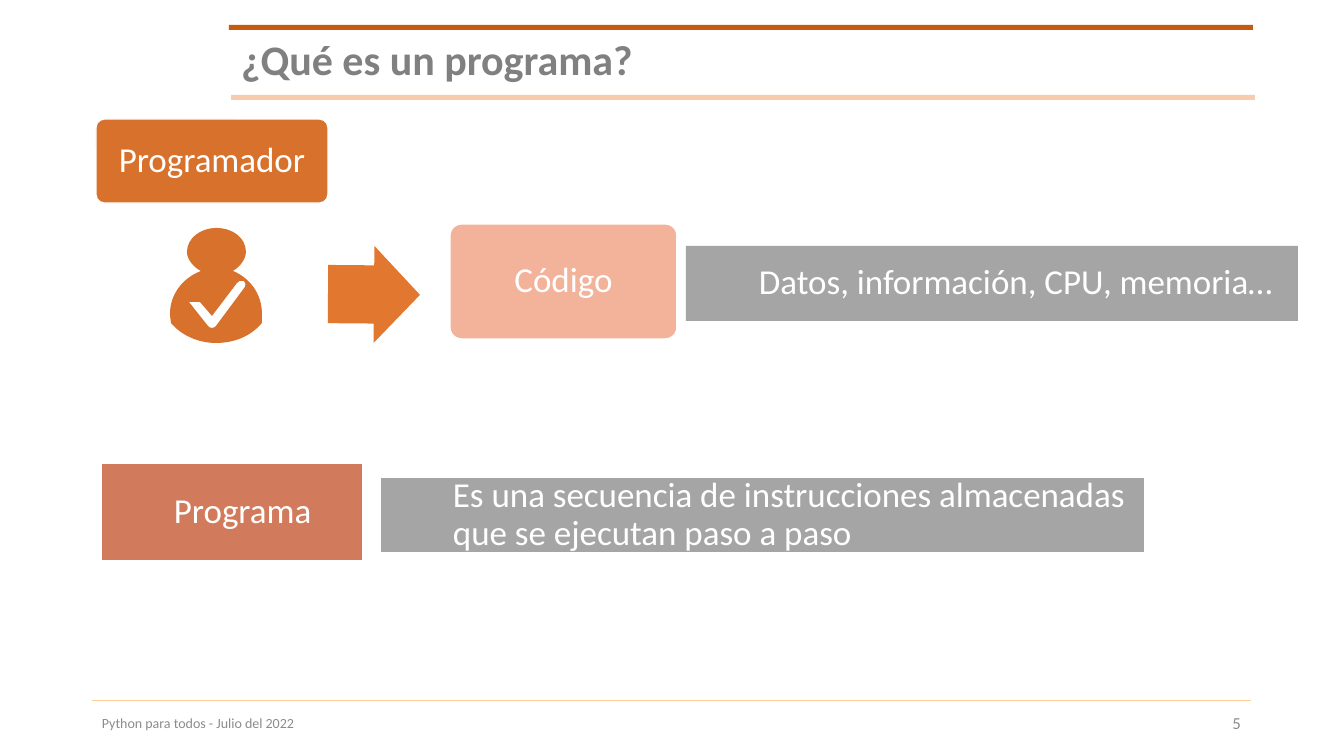
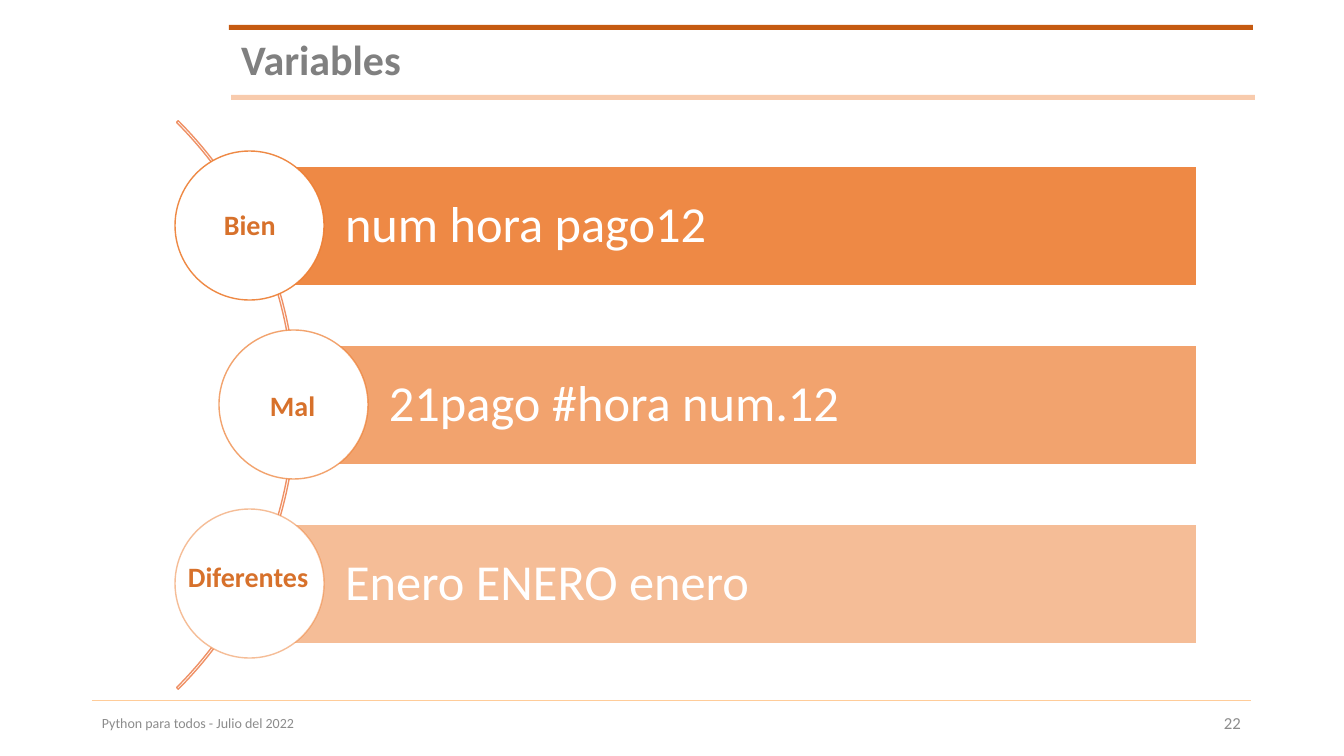
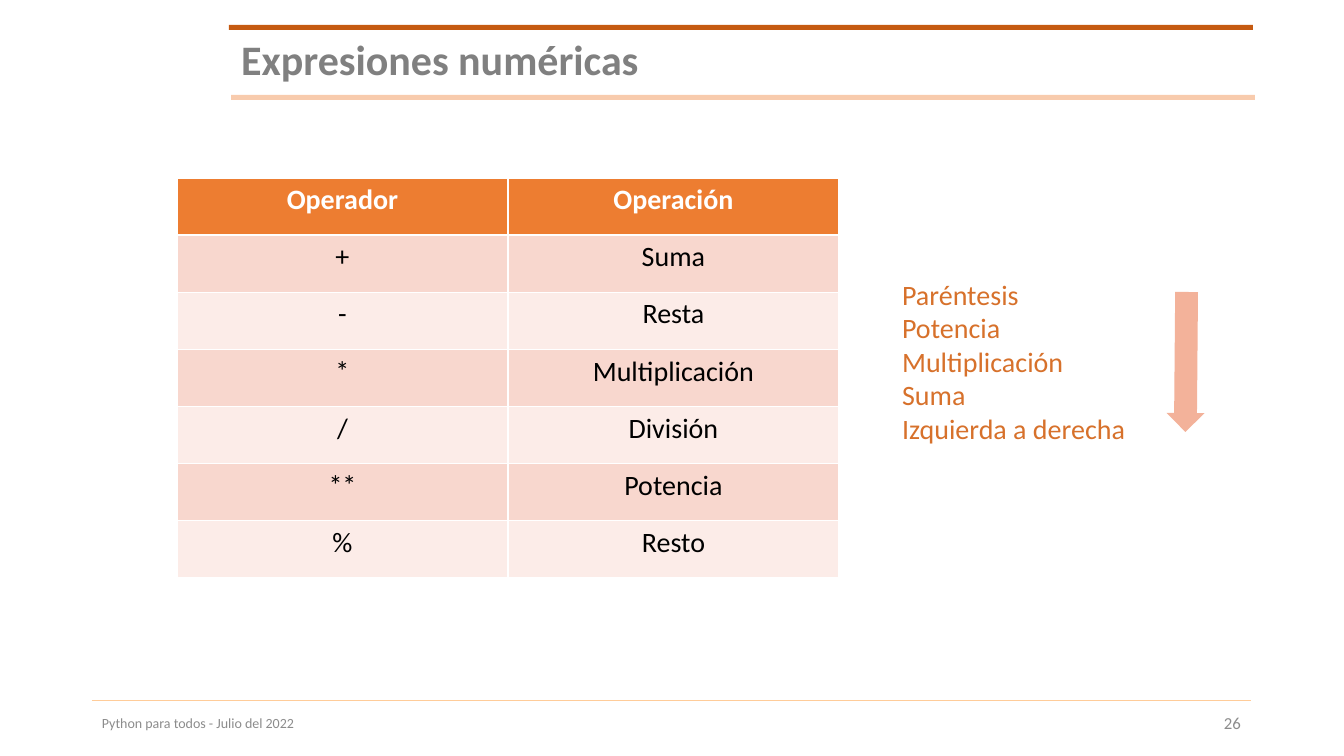
from dataclasses import dataclass
from typing import Optional

from lxml.etree import SubElement
from pptx import Presentation
from pptx.dml.color import RGBColor
from pptx.enum.shapes import MSO_CONNECTOR, MSO_SHAPE
from pptx.enum.text import MSO_ANCHOR, MSO_AUTO_SIZE, PP_ALIGN
from pptx.oxml.ns import qn
from pptx.shapes.autoshape import Shape
from pptx.slide import Slide
from pptx.text.text import TextFrame
from pptx.util import Emu, Pt

SCALE = 914400 / 100.8  # EMU per pixel
FONT = "Calibri"
COLORS = {
    "white": "FFFFFF", "black": "000000", "title": "808080", "footer": "8C8C8C",
    "footer_line": "FFCC99", "top_band": "C55A11", "low_band": "F8CBAD",
    "programmer": "D7712B", "arrow": "E2772F", "code": "F3B39B",
    "program": "D17B5C", "gray": "A5A5A5", "orange": "ED7D31", "arc": "EF9166",
    "odd_row": "F8D7CE", "even_row": "FCECE8", "order_arrow": "F3B29A",
}


@dataclass(frozen=True)
class Box:
    left: int
    top: int
    width: int
    height: int

    def emu(self) -> tuple[Emu, Emu, Emu, Emu]:
        return px(self.left), px(self.top), px(self.width), px(self.height)


@dataclass(frozen=True)
class TextStyle:
    size: int
    color: str
    bold: bool = False
    align: PP_ALIGN = PP_ALIGN.LEFT
    line_spacing: float = 1.0


@dataclass(frozen=True)
class Card:
    text: str
    box: Box
    fill: str
    line: Optional[str] = "white"
    rounded: bool = False


@dataclass(frozen=True)
class NamingRule:
    label: str
    label_box: Box
    names: str
    left: int
    opacity: int


TITLE = TextStyle(30, "title", bold=True, line_spacing=0.9)
FOOTER = TextStyle(10, "footer")
PAGE_NUMBER = TextStyle(12, "footer", align=PP_ALIGN.RIGHT)
CARD = TextStyle(25, "white", line_spacing=0.9)
CARD_CENTERED = TextStyle(25, "white", align=PP_ALIGN.CENTER, line_spacing=0.9)
NAMES = TextStyle(36, "white", line_spacing=0.9)
RULE_LABEL = TextStyle(20, "programmer", bold=True)
ORDER = TextStyle(20, "programmer")
HEADER_CELL = TextStyle(20, "white", bold=True, align=PP_ALIGN.CENTER)
BODY_CELL = TextStyle(20, "black", align=PP_ALIGN.CENTER)


# Shared helpers
def px(pixels: float) -> Emu:
    return Emu(round(pixels * SCALE))


def rgb(color: str) -> RGBColor:
    return RGBColor.from_string(COLORS[color])


def write(frame: TextFrame, text: str, style: TextStyle) -> None:
    frame.text = text
    for paragraph in frame.paragraphs:
        paragraph.alignment = style.align
        paragraph.line_spacing = style.line_spacing
        paragraph.space_before = Pt(0)
        for run in paragraph.runs:
            run.font.name = FONT
            run.font.size = Pt(style.size)
            run.font.bold = style.bold
            run.font.color.rgb = rgb(style.color)


def set_frame(frame: TextFrame, anchor: MSO_ANCHOR) -> None:
    frame.word_wrap = True
    frame.auto_size = MSO_AUTO_SIZE.NONE
    frame.vertical_anchor = anchor


def set_margins(frame: TextFrame, left: int, others: int) -> None:
    frame.margin_left = px(left)
    frame.margin_top = frame.margin_right = frame.margin_bottom = px(others)


def place(placeholder: Shape, box: Box) -> None:
    placeholder.left, placeholder.top, placeholder.width, placeholder.height = box.emu()


def paint(shape: Shape, fill: Optional[str], line: Optional[str] = None) -> None:
    shape.shadow.inherit = False
    if fill:
        shape.fill.solid()
        shape.fill.fore_color.rgb = rgb(fill)
    else:
        shape.fill.background()
    if line:
        shape.line.color.rgb = rgb(line)
        shape.line.width = Pt(1)
    else:
        shape.line.fill.background()


def add_shape(slide: Slide, kind: MSO_SHAPE, box: Box, fill: Optional[str],
              line: Optional[str] = None) -> Shape:
    shape = slide.shapes.add_shape(kind, *box.emu())
    paint(shape, fill, line)
    return shape


def add_arrow(slide: Slide, box: Box, fill: str, rotation: float) -> None:
    arrow = add_shape(slide, MSO_SHAPE.RIGHT_ARROW, box, fill)
    arrow.adjustments[0], arrow.adjustments[1] = 0.6, 0.5
    arrow.rotation = rotation


def add_text(slide: Slide, box: Box, text: str, style: TextStyle,
             anchor: MSO_ANCHOR = MSO_ANCHOR.TOP) -> None:
    frame = slide.shapes.add_textbox(*box.emu()).text_frame
    set_frame(frame, anchor)
    write(frame, text, style)


def set_opacity(shape: Shape, fill_location: str, percent: int) -> None:
    steps = "/".join(qn(tag) for tag in (fill_location + " a:srgbClr").split())
    color = shape.element.spPr.find(steps)
    SubElement(color, qn("a:alpha"), val=str(percent * 1000))


# Title, bands and footer of every slide
def add_slide(layout_index: int, title: str, number: int) -> Slide:
    slide = deck.slides.add_slide(deck.slide_layouts[layout_index])
    heading = slide.shapes.title
    place(heading, Box(231, 33, 1020, 57))
    heading.fill.solid()
    heading.fill.fore_color.rgb = rgb("white")
    set_frame(heading.text_frame, MSO_ANCHOR.MIDDLE)
    write(heading.text_frame, title, TITLE)

    add_shape(slide, MSO_SHAPE.RECTANGLE, Box(229, 25, 1024, 5), "top_band")
    add_shape(slide, MSO_SHAPE.RECTANGLE, Box(231, 95, 1024, 5), "low_band")
    rule = slide.shapes.add_connector(
        MSO_CONNECTOR.STRAIGHT, px(92), px(700), px(1251), px(700))
    rule.line.color.rgb = rgb("footer_line")
    rule.line.width = Pt(0.5)
    SubElement(rule.element.spPr, qn("a:effectLst"))
    add_text(slide, Box(92, 703, 857, 39), "Python para todos - Julio del 2022",
             FOOTER, MSO_ANCHOR.MIDDLE)
    add_text(slide, Box(949, 703, 302, 39), str(number), PAGE_NUMBER,
             MSO_ANCHOR.MIDDLE)
    return slide


# Slide: what a program is
CARDS = (
    Card("Programador", Box(96, 119, 232, 84), "programmer", rounded=True),
    Card("Código", Box(450, 224, 227, 115), "code", rounded=True),
    Card("Datos, información, CPU, memoria…", Box(686, 246, 612, 75), "gray", None),
    Card("Programa", Box(101, 463, 262, 98), "program"),
    Card("Es una secuencia de instrucciones almacenadas que se ejecutan paso a paso",
         Box(380, 477, 765, 76), "gray"),
)
# Each step lists the points after its start: one for a line, three for a curve
PERSON_OUTLINE = (
    ((233, 271),),
    ((240, 267), (246, 259), (246, 252)), ((246, 238), (233, 228), (216, 228)),
    ((201, 228), (187, 238), (187, 252)), ((187, 259), (193, 267), (201, 271)),
    ((183, 278), (170, 294), (170, 314)), ((170, 318), (171, 320), (171, 323)),
    ((182, 336), (199, 343), (216, 343)), ((235, 343), (251, 336), (262, 323)),
    ((262, 320), (262, 318), (262, 314)), ((262, 294), (250, 278), (233, 271)),
)
CHECK_MARK = (
    ((245, 287),), ((216, 326),),
    ((215, 327), (214, 328), (212, 328)), ((210, 328), (209, 327), (208, 326)),
    ((189, 302),), ((200, 302),), ((212, 316),), ((237, 283),),
    ((238, 281), (241, 280), (244, 281)), ((246, 283), (246, 285), (245, 287)),
)
PERSON_LEFT, PERSON_TOP = 170, 228


def add_person(slide: Slide) -> None:
    builder = slide.shapes.build_freeform(*PERSON_OUTLINE[0][0], scale=SCALE)
    builder.add_line_segments([step[-1] for step in PERSON_OUTLINE[1:]], close=True)
    builder.move_to(*CHECK_MARK[0][0])
    builder.add_line_segments([step[-1] for step in CHECK_MARK[1:]], close=True)
    person = builder.convert_to_shape()
    paint(person, "programmer")

    # Turn the straight segments of curved steps into Bezier curves
    segments = list(person.element.spPr.iter(qn("a:lnTo")))
    for segment, step in zip(segments, PERSON_OUTLINE[1:] + CHECK_MARK[1:]):
        if len(step) == 3:
            curve = segment.makeelement(qn("a:cubicBezTo"))
            for x, y in step:
                SubElement(curve, qn("a:pt"), x=str(x - PERSON_LEFT),
                           y=str(y - PERSON_TOP))
            segment.getparent().replace(segment, curve)


def add_card(slide: Slide, card: Card) -> None:
    kind = MSO_SHAPE.ROUNDED_RECTANGLE if card.rounded else MSO_SHAPE.RECTANGLE
    shape = add_shape(slide, kind, card.box, card.fill, card.line)
    set_frame(shape.text_frame, MSO_ANCHOR.MIDDLE)
    if card.rounded:
        shape.adjustments[0] = 0.1
        set_margins(shape.text_frame, 10, 10)
    else:
        set_margins(shape.text_frame, 73, 7)
    write(shape.text_frame, card.text, CARD_CENTERED if card.rounded else CARD)


def build_program_slide() -> None:
    slide = add_slide(5, "¿Qué es un programa?", 5)
    add_person(slide)
    add_arrow(slide, Box(328, 246, 92, 97), "arrow", 0.5)
    for card in CARDS:
        add_card(slide, card)


# Slide: names of variables
RULES = (
    NamingRule("Bien", Box(214, 203, 103, 44), "num hora pago12", 250, 90),
    NamingRule("Mal", Box(260, 384, 103, 44), "21pago #hora num.12", 294, 70),
    NamingRule("Diferentes", Box(178, 555, 153, 44), "Enero ENERO enero", 250, 50),
)
BAR_TOP, BAR_PITCH, BAR_HEIGHT, BAR_RIGHT = 166, 179, 120, 1197
CIRCLE = 149


def add_rule(slide: Slide, rule: NamingRule, top: int) -> None:
    bar = add_shape(slide, MSO_SHAPE.RECTANGLE,
                    Box(rule.left, top, BAR_RIGHT - rule.left, BAR_HEIGHT),
                    "orange", "white")
    set_opacity(bar, "a:solidFill", rule.opacity)
    set_frame(bar.text_frame, MSO_ANCHOR.MIDDLE)
    set_margins(bar.text_frame, 95, 10)
    write(bar.text_frame, rule.names, NAMES)

    circle_box = Box(rule.left - (CIRCLE + 1) // 2,
                     top + (BAR_HEIGHT - CIRCLE) // 2, CIRCLE, CIRCLE)
    circle = add_shape(slide, MSO_SHAPE.OVAL, circle_box, "white", "orange")
    set_opacity(circle, "a:ln a:solidFill", rule.opacity)
    add_text(slide, rule.label_box, rule.label, RULE_LABEL)


def build_variables_slide() -> None:
    slide = add_slide(5, "Variables", 22)
    arc = add_shape(slide, MSO_SHAPE.BLOCK_ARC, Box(-508, 3, 804, 804), None, "arc")
    for index, value in enumerate((189, 27, 0.003)):
        arc.adjustments[index] = value
    for index, rule in enumerate(RULES):
        add_rule(slide, rule, BAR_TOP + index * BAR_PITCH)


# Slide: numeric expressions
OPERATORS = (
    ("Operador", "Operación"), ("+", "Suma"), ("-", "Resta"),
    ("*", "Multiplicación"), ("/", "División"), ("**", "Potencia"), ("%", "Resto"),
)
PRECEDENCE = ("Paréntesis", "Potencia", "Multiplicación", "Suma",
              "Izquierda a derecha")
OPERATOR_BOX = Box(177, 178, 662, 400)


def add_operator_table(slide: Slide) -> None:
    table = slide.shapes.add_table(len(OPERATORS), 2, *OPERATOR_BOX.emu()).table
    for row_index, values in enumerate(OPERATORS):
        if row_index == 0:
            fill, style = "orange", HEADER_CELL
        else:
            fill, style = "odd_row" if row_index % 2 else "even_row", BODY_CELL
        for column_index, value in enumerate(values):
            cell = table.cell(row_index, column_index)
            cell.fill.solid()
            cell.fill.fore_color.rgb = rgb(fill)
            write(cell.text_frame, value, style)


def add_precedence(slide: Slide) -> None:
    order = slide.placeholders[1]
    place(order, Box(892, 272, 275, 179))
    set_frame(order.text_frame, MSO_ANCHOR.TOP)
    write(order.text_frame, "\n".join(PRECEDENCE), ORDER)
    for paragraph in order.text_frame.paragraphs:
        properties = paragraph._p.get_or_add_pPr()
        properties.set("marL", "0")
        properties.set("indent", "0")
        SubElement(properties, qn("a:buNone"))
    add_arrow(slide, Box(1116, 343, 140, 38), "order_arrow", 90.5)


def build_expressions_slide() -> None:
    slide = add_slide(1, "Expresiones numéricas", 26)
    add_operator_table(slide)
    add_precedence(slide)


deck = Presentation()
deck.slide_width, deck.slide_height = px(1344), px(756)
build_program_slide()
build_variables_slide()
build_expressions_slide()
deck.save("out.pptx")
